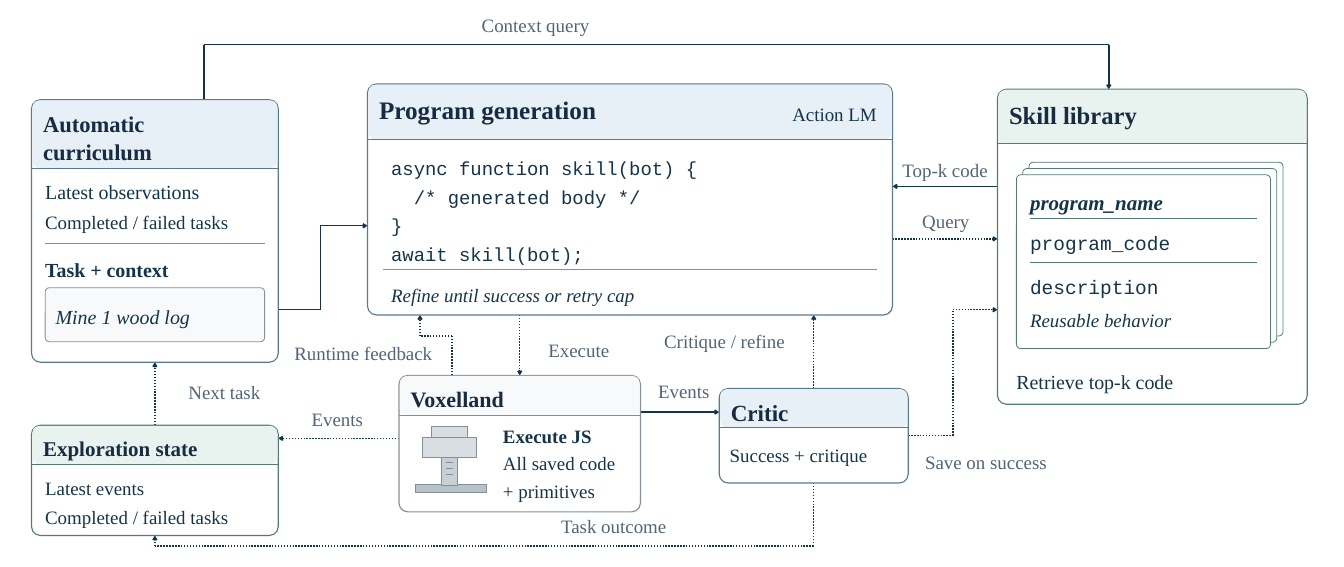
from itertools import pairwise

from lxml.etree import SubElement
from pptx import Presentation
from pptx.dml.color import RGBColor
from pptx.enum.dml import MSO_LINE_DASH_STYLE as Dash
from pptx.enum.shapes import MSO_CONNECTOR as Connector, MSO_SHAPE as Shape
from pptx.enum.text import MSO_ANCHOR as Anchor, PP_ALIGN as Align
from pptx.oxml.ns import qn
from pptx.util import Inches, Pt

WHITE = RGBColor(0xFF, 0xFF, 0xFF)
INK = RGBColor(0x14, 0x34, 0x4B)
TITLE_INK = RGBColor(0x17, 0x2B, 0x42)
LABEL_INK = RGBColor(0x52, 0x64, 0x77)
BLUE = RGBColor(0x58, 0x7A, 0x96)
GREEN = RGBColor(0x50, 0x7E, 0x71)
GRAY = RGBColor(0x83, 0x90, 0x99)
PALE_BLUE = RGBColor(0xE8, 0xF0, 0xF7)
PALE_GREEN = RGBColor(0xE8, 0xF3, 0xEF)
PALE_GRAY = RGBColor(0xF7, 0xF9, 0xFA)
STEEL_DARK = RGBColor(0xB8, 0xC2, 0xC9)
STEEL = RGBColor(0xC9, 0xD0, 0xD5)
STEEL_LIGHT = RGBColor(0xD8, 0xDE, 0xE2)

SERIF = "Times New Roman"
MONO = "Courier New"
COLUMNS, ROWS = 256, 108


class Diagram:
    """Draws on one slide; every length is in cells of a 256 by 108 grid."""

    hairline = 1.13
    arrow_width = 2.1

    def __init__(self, presentation):
        self.slide = presentation.slides.add_slide(presentation.slide_layouts[6])
        self.column = presentation.slide_width / COLUMNS
        self.row = presentation.slide_height / ROWS

    def place(self, column, row):
        return round(column * self.column), round(row * self.row)

    def line(self, start, end, color, width=hairline, shapes=None):
        shapes = shapes or self.slide.shapes
        line = shapes.add_connector(
            Connector.STRAIGHT, *self.place(*start), *self.place(*end))
        line.line.color.rgb = color
        line.line.width = Pt(width)
        SubElement(line._element.spPr, qn("a:effectLst"))
        return line

    def arrow(self, *points, dotted=True):
        """Joins the points with straight segments and a head on the last one."""
        group = self.slide.shapes.add_group_shape()
        for start, end in pairwise(points):
            segment = self.line(start, end, INK, self.arrow_width, group.shapes)
            if dotted:
                segment.line.dash_style = Dash.ROUND_DOT
        SubElement(segment.line._get_or_add_ln(), qn("a:tailEnd"), type="arrow")

    def box(self, column, row, width, height, fill, line=None,
            line_width=hairline, radius=0.0):
        kind = Shape.ROUNDED_RECTANGLE if radius else Shape.RECTANGLE
        shape = self.slide.shapes.add_shape(
            kind, *self.place(column, row), *self.place(width, height))
        shape.shadow.inherit = False
        if radius:
            shape.adjustments[0] = radius / min(width, height)
        shape.fill.solid()
        shape.fill.fore_color.rgb = fill
        if line is None:
            shape.line.fill.background()
        else:
            shape.line.color.rgb = line
            shape.line.width = Pt(line_width)

    def text(self, lines, column, middle, width, size=27.0, color=INK, font=SERIF,
             bold=False, italic=False, align=Align.LEFT, gap=0.0):
        """Centres the lines on the row given as middle, gap points apart."""
        lines = lines.split("\n")
        height = 5.2 * len(lines)
        box = self.slide.shapes.add_textbox(
            *self.place(column, middle - height / 2), *self.place(width, height))
        frame = box.text_frame
        frame.word_wrap = True
        frame.vertical_anchor = Anchor.MIDDLE
        frame.margin_left = frame.margin_right = 0
        frame.margin_top = frame.margin_bottom = 0
        for index, words in enumerate(lines):
            paragraph = frame.add_paragraph() if index else frame.paragraphs[0]
            paragraph.alignment = align
            if index:
                paragraph.space_before = Pt(gap)
            run = paragraph.add_run()
            run.text = words
            run.font.name = font
            run.font.size = Pt(size)
            run.font.bold = bold
            run.font.italic = italic
            run.font.color.rgb = color

    def card(self, title, column, row, width, height, header, middle, size, fill, line):
        """A framed card with a tinted header; middle is the title's centre row."""
        self.box(column, row, width, height, WHITE, line, 1.65, radius=1.7)
        self.box(column + 0.15, row + 0.1, width - 0.3, header - 0.05, fill, radius=1.4)
        self.line((column, row + header), (column + width, row + header), line, 1.05)
        self.text(title, column + 2.2, middle, width - 4.4, size, TITLE_INK,
                  bold=True, gap=1.2)


def draw_arrows(diagram):
    diagram.arrow((53, 59), (61, 59), (61, 43), (70, 43), dotted=False)
    diagram.arrow((122, 78.5), (137, 78.5), dotted=False)
    diagram.arrow((190, 35.5), (170, 35.5), dotted=False)
    diagram.arrow((38.9, 19), (38.9, 8.5), (211.2, 8.5), (211.2, 17), dotted=False)
    diagram.arrow((99, 60), (99, 71.5))
    diagram.arrow((86.1, 71.5), (86.1, 64), (80, 64), (80, 60))
    diagram.arrow((155, 74), (155, 60))
    diagram.arrow((173, 83), (181.5, 83), (181.5, 59), (190, 59))
    diagram.arrow((170, 45.5), (190, 45.5))
    diagram.arrow((76, 83.5), (53, 83.5))
    diagram.arrow((155, 92), (155, 104), (29.5, 104), (29.5, 102))
    diagram.arrow((29.5, 81), (29.5, 69))


def draw_arrow_labels(diagram):
    for label, column, middle, width in (
        ("Execute", 103, 66.7, 14.5),
        ("Events", 124, 74.4, 12.5),
        ("Runtime feedback", 54, 67.3, 30.4),
        ("Critique / refine", 125, 65, 26),
        ("Save on success", 173.5, 87.9, 28.6),
        ("Top-k code", 170.4, 32.3, 19.2),
        ("Query", 174.4, 42.1, 11.5),
        ("Context query", 90, 4.75, 24),
        ("Events", 58, 79.8, 12.5),
        ("Task outcome", 105, 100.2, 23.8),
        ("Next task", 34.5, 74.7, 16.5),
    ):
        diagram.text(label, column, middle, width, color=LABEL_INK, align=Align.CENTER)


def draw_curriculum(diagram):
    diagram.card("Automatic\ncurriculum", 6, 19, 47, 50, 13, 26.15, 32.2, PALE_BLUE, BLUE)
    diagram.text("Latest observations", 8.6, 36.5, 41.8, 28.5)
    diagram.text("Completed / failed tasks", 8.6, 42.2, 41.8)
    diagram.line((8.6, 46.4), (50.4, 46.4), GRAY)
    diagram.text("Task + context", 8.6, 51.4, 41.8, 28.5, bold=True)
    diagram.box(8.6, 54.8, 41.8, 10.3, PALE_GRAY, GRAY, radius=0.8)
    diagram.text("Mine 1 wood log", 10.6, 60.3, 37.8, 28.5, italic=True)


def draw_program(diagram):
    diagram.card("Program generation", 70, 16, 100, 44, 10.5, 20.9, 36, PALE_BLUE, BLUE)
    diagram.text("Action LM", 145.5, 21.8, 21.5, align=Align.RIGHT)
    diagram.text("async function skill(bot) {\n  /* generated body */\n}\nawait skill(bot);",
                 74.5, 40.2, 91, font=MONO, gap=8.5)
    diagram.line((73, 51.4), (167, 51.4), GRAY)
    diagram.text("Refine until success or retry cap", 74.5, 56.2, 91, italic=True)


def draw_game(diagram):
    diagram.card("Voxelland", 76, 71.5, 46, 26, 7.6, 76, 31.5, PALE_GRAY, GRAY)
    for column, row, width, height, fill in (
        (79.2, 92.35, 13.5, 1.45, STEEL_DARK),
        (84.1, 87.2, 3, 5.2, STEEL),
        (80.55, 83.4, 10.2, 3.8, STEEL_LIGHT),
        (82.1, 81.2, 7, 2.2, STEEL_LIGHT),
    ):
        diagram.box(column, row, width, height, fill, GRAY)
    for notch in range(3):
        row = 88 + 1.2 * notch
        diagram.line((85, row), (86.2, row), GRAY)
    diagram.text("Execute JS", 95.8, 83.1, 24, bold=True)
    diagram.text("All saved code\n+ primitives", 95.8, 90.85, 24, gap=7.9)


def draw_critic(diagram):
    diagram.card("Critic", 137, 74, 36, 18, 7.4, 78.6, 33, PALE_BLUE, BLUE)
    diagram.text("Success + critique", 139, 86.6, 32)


def draw_skill_library(diagram):
    diagram.card("Skill library", 190, 17, 59, 60, 10.4, 21.8, 35.2, PALE_GREEN, GREEN)
    for sheet in range(3):
        diagram.box(196 - 1.2 * sheet, 30.9 + 1.2 * sheet, 48.4, 33.1, WHITE, GREEN,
                    radius=0.8)
    for row in (41.6, 49.9):
        diagram.line((196.2, row), (239.4, row), GREEN)
    diagram.text("program_name", 196.2, 38.5, 43.2, 30, bold=True, italic=True)
    diagram.text("program_code", 196.2, 46.3, 43.2, 27.8, font=MONO)
    diagram.text("description", 196.2, 54.6, 43.2, 27.8, font=MONO)
    diagram.text("Reusable behavior", 196.2, 60.9, 43.2, italic=True)
    diagram.text("Retrieve top-k code", 193.6, 72.6, 51, 28.5)


def draw_exploration(diagram):
    diagram.card("Exploration state", 6, 81, 47, 21, 7.4, 85.4, 30, PALE_GREEN, GREEN)
    diagram.text("Latest events\nCompleted / failed tasks", 8.6, 95.7, 41.8, gap=10)


def main():
    presentation = Presentation()
    presentation.slide_width = Inches(26.67)
    presentation.slide_height = Inches(11.25)
    diagram = Diagram(presentation)
    for draw in (draw_arrows, draw_curriculum, draw_program, draw_game, draw_critic,
                 draw_skill_library, draw_exploration, draw_arrow_labels):
        draw(diagram)
    presentation.save("out.pptx")


if __name__ == "__main__":
    main()
